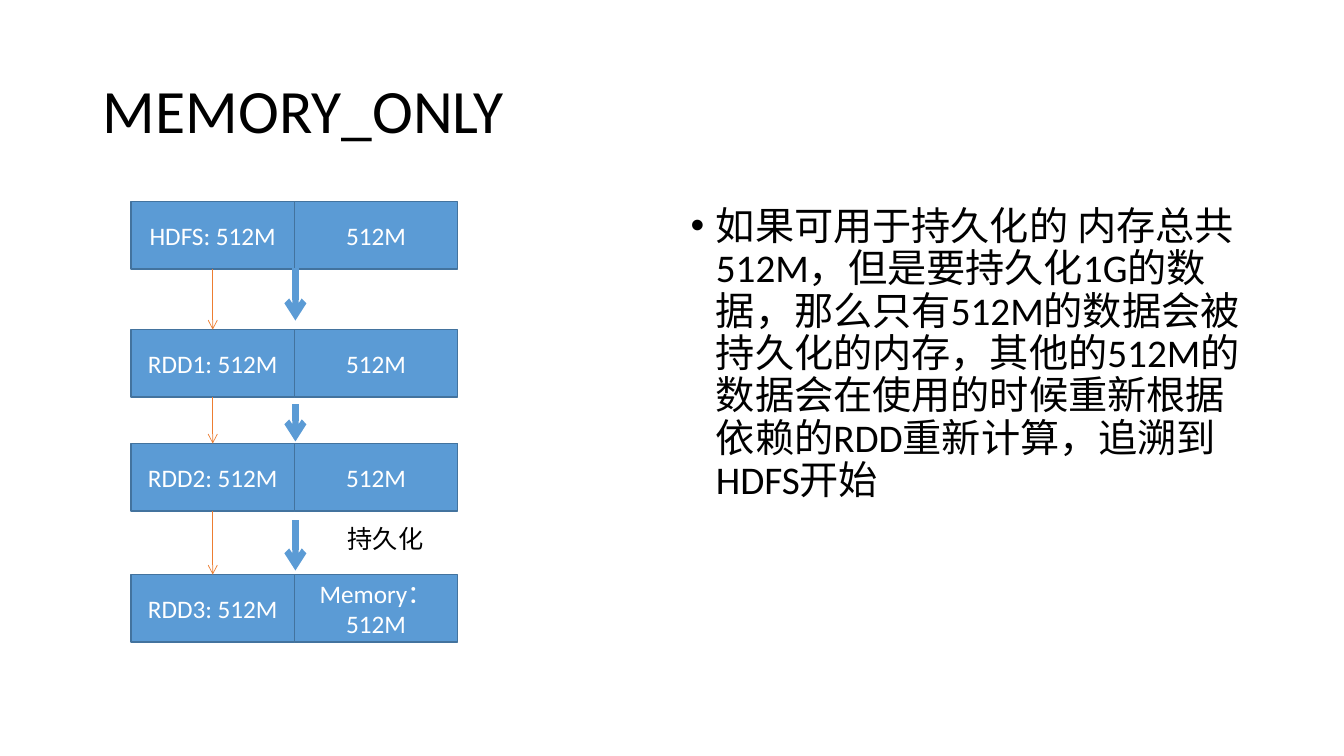
from lxml import etree
from pptx import Presentation
from pptx.dml.color import RGBColor
from pptx.enum.shapes import MSO_CONNECTOR, MSO_SHAPE
from pptx.enum.text import MSO_ANCHOR, PP_ALIGN
from pptx.oxml.ns import qn
from pptx.util import Inches, Pt

STRAIGHT = MSO_CONNECTOR.STRAIGHT
PROCESS = MSO_SHAPE.FLOWCHART_PROCESS
MIDDLE, TOP = MSO_ANCHOR.MIDDLE, MSO_ANCHOR.TOP
LEFT, CENTER = PP_ALIGN.LEFT, PP_ALIGN.CENTER

BLACK = RGBColor(0x00, 0x00, 0x00)
WHITE = RGBColor(0xFF, 0xFF, 0xFF)
BLUE = RGBColor(0x5B, 0x9B, 0xD5)
DARK_BLUE = RGBColor(0x43, 0x73, 0x9E)
ORANGE = RGBColor(0xED, 0x7D, 0x31)
FONT = "Calibri"

TITLE = "MEMORY_ONLY"
BODY = (
    "如果可用于持久化的 内存总共512M，但是要持久化1G的数据，"
    "那么只有512M的数据会被持久化的内存，其他的512M的数据会在使用的时候"
    "重新根据依赖的RDD重新计算，追溯到HDFS开始"
)
PERSIST_LABEL = "持久化"
STAGES = [
    (2.0, "HDFS: 512M", "512M"),
    (3.27, "RDD1: 512M", "512M"),
    (4.4, "RDD2: 512M", "512M"),
    (5.7, "RDD3: 512M", "Memory：512M"),
]
THICK_ARROWS = [(2.66, 3.18), (4.01, 4.38), (5.16, 5.66)]
THICK_ARROW_X = 2.93
BLOCK_LEFT, BLOCK_WIDTH, BLOCK_HEIGHT = 1.3, 1.62, 0.67


def place(shape, left, top, width, height):
    shape.left, shape.top = Inches(left), Inches(top)
    shape.width, shape.height = Inches(width), Inches(height)


def write(shape, text, size, color, align, anchor):
    frame = shape.text_frame
    frame.text = text
    frame.word_wrap = True
    frame.vertical_anchor = anchor
    paragraph = frame.paragraphs[0]
    paragraph.alignment = align
    font = paragraph.runs[0].font
    font.name, font.size = FONT, Pt(size)
    font.color.rgb = color
    return paragraph


def add_block(slide, column, top, text):
    block = slide.shapes.add_shape(
        PROCESS, Inches(BLOCK_LEFT + column * BLOCK_WIDTH), Inches(top),
        Inches(BLOCK_WIDTH), Inches(BLOCK_HEIGHT))
    block.shadow.inherit = False
    block.fill.solid()
    block.fill.fore_color.rgb = BLUE
    block.line.color.rgb = DARK_BLUE
    block.line.width = Pt(1)
    write(block, text, 18, WHITE, CENTER, MIDDLE)
    return block


def add_arrow(slide, x, top, bottom, color, width):
    arrow = slide.shapes.add_connector(
        STRAIGHT, Inches(x), Inches(top), Inches(x), Inches(bottom))
    arrow.line.color.rgb = color
    arrow.line.width = Pt(width)
    line = arrow.line._get_or_add_ln()
    etree.SubElement(line, qn("a:tailEnd"), type="arrow")
    etree.SubElement(arrow._element.spPr, qn("a:effectLst"))
    return arrow


def main():
    presentation = Presentation()
    presentation.slide_width = Inches(13.33)
    presentation.slide_height = Inches(7.5)
    slide = presentation.slides.add_slide(presentation.slide_layouts[1])

    title = slide.shapes.title
    place(title, 0.92, 0.4, 11.5, 1.45)
    write(title, TITLE, 44, BLACK, LEFT, MIDDLE).line_spacing = 0.9

    body = slide.placeholders[1]
    place(body, 6.75, 2, 5.67, 4.76)
    paragraph = write(body, BODY, 28, BLACK, LEFT, TOP)
    paragraph.line_spacing = 0.9
    paragraph.space_before = Pt(10)
    properties = paragraph._p.get_or_add_pPr()
    properties.set("marL", str(Inches(0.25)))
    properties.set("indent", str(Inches(-0.25)))
    etree.SubElement(properties, qn("a:buFont"), typeface="Arial")
    etree.SubElement(properties, qn("a:buChar"), char="•")

    left_blocks = []
    for top, left_text, right_text in STAGES:
        left_blocks.append(add_block(slide, 0, top, left_text))
        add_block(slide, 1, top, right_text)

    for top, bottom in THICK_ARROWS:
        add_arrow(slide, THICK_ARROW_X, top, bottom, BLUE, 4.5)

    center = BLOCK_LEFT + BLOCK_WIDTH / 2
    for upper, lower in zip(left_blocks, left_blocks[1:]):
        arrow = add_arrow(slide, center, (upper.top + upper.height).inches
                          if hasattr(upper.top + upper.height, "inches")
                          else upper.top.inches + BLOCK_HEIGHT,
                          lower.top.inches, ORANGE, 0.5)
        arrow.begin_connect(upper, 2)
        arrow.end_connect(lower, 0)

    label = slide.shapes.add_textbox(
        Inches(3.35), Inches(5.14), Inches(1.95), Inches(0.4))
    write(label, PERSIST_LABEL, 18, BLACK, LEFT, TOP)

    presentation.save("out.pptx")


if __name__ == "__main__":
    main()
